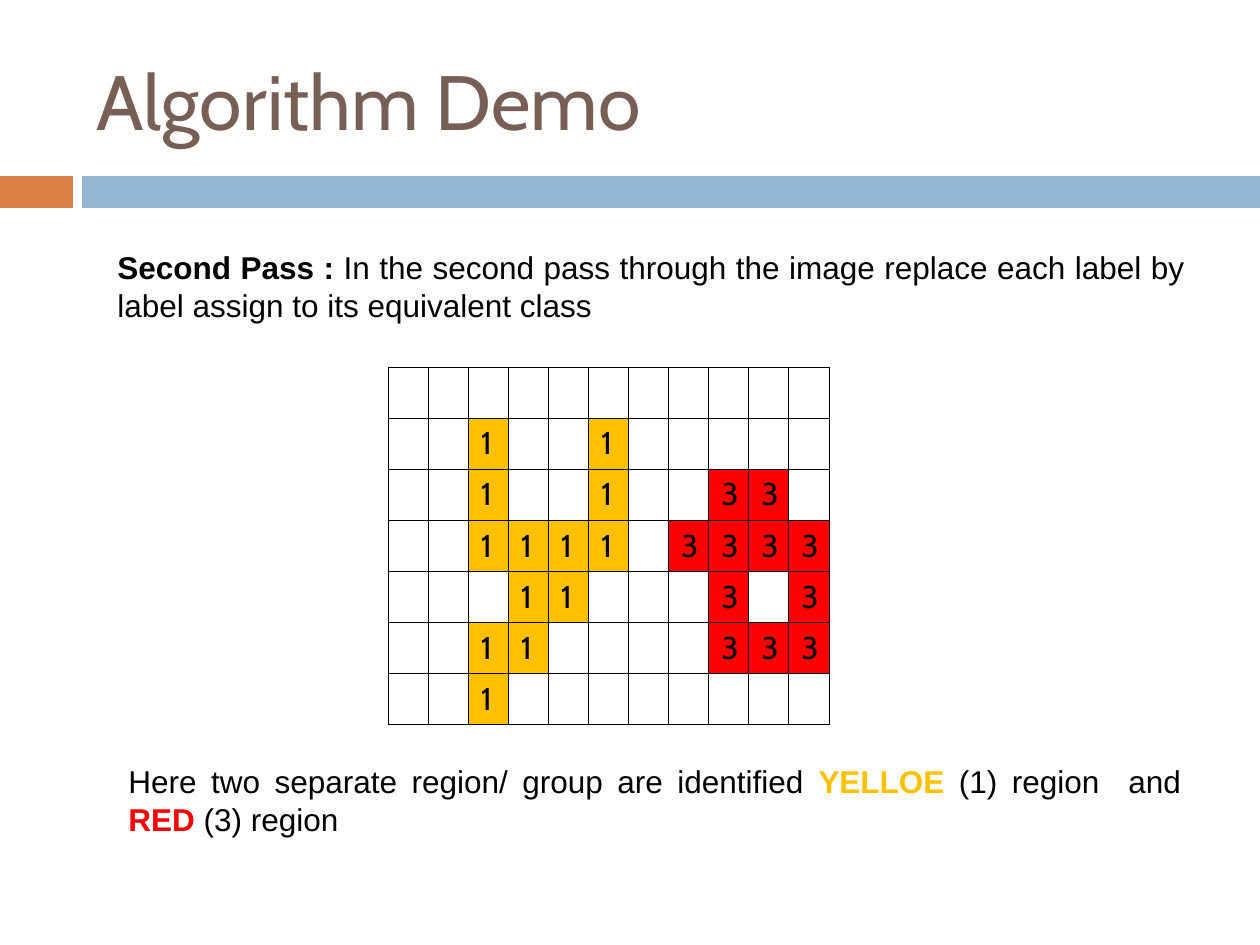
import pptx
import pptx.dml.color
import pptx.enum.text
import pptx.oxml
import pptx.oxml.ns
import pptx.util

PX = 914400 / 126
BLACK, AMBER, RED = "000000", "FFC000", "FF0000"
REGION_COLORS = {"1": AMBER, "3": RED}
LABELS = [
    "...........",
    "..1..1.....",
    "..1..1..33.",
    "..1111.3333",
    "...11...3.3",
    "..11....333",
    "..1........",
]


def px(length):
    return pptx.util.Emu(round(length * PX))


def color(hex_string):
    return pptx.dml.color.RGBColor.from_string(hex_string)


def style(font, face, size, hex_string):
    font.name = face
    font.size = pptx.util.Pt(size)
    font.color.rgb = color(hex_string)


def add_heading(slide, box, text):
    heading = slide.shapes.title
    heading.left, heading.top, heading.width, heading.height = map(px, box)
    frame = heading.text_frame
    frame.text = text
    frame.vertical_anchor = pptx.enum.text.MSO_ANCHOR.MIDDLE
    paragraph = frame.paragraphs[0]
    paragraph.alignment = pptx.enum.text.PP_ALIGN.LEFT
    style(paragraph.font, "Cabin", 44, "775F55")


def add_divider(slide, box):
    left, top, width, height = box
    accent, gap = 73, 9
    band = accent + gap
    for start, length, fill in ((0, accent, "DD8047"), (band, width - band, "94B6D2")):
        bar = slide.shapes.add_shape(
            pptx.enum.shapes.MSO_SHAPE.RECTANGLE,
            px(left + start), px(top), px(length), px(height))
        bar.shadow.inherit = False
        bar.fill.solid()
        bar.fill.fore_color.rgb = color(fill)
        bar.line.fill.background()


def add_statement(slide, box, pieces):
    statement = slide.shapes.add_textbox(*map(px, box))
    frame = statement.text_frame
    frame.word_wrap = True
    paragraph = frame.paragraphs[0]
    paragraph.alignment = pptx.enum.text.PP_ALIGN.JUSTIFY
    for text, hex_string, bold in pieces:
        run = paragraph.add_run()
        run.text = text
        run.font.bold = bold
        style(run.font, "Arial", 18, hex_string)


def outline_cell(cell):
    properties = cell._tc.get_or_add_tcPr()
    for position, side in enumerate(("lnL", "lnR", "lnT", "lnB")):
        properties.insert(position, pptx.oxml.parse_xml(
            f'<a:{side} {pptx.oxml.ns.nsdecls("a")} w="5715"><a:solidFill>'
            f'<a:srgbClr val="{BLACK}"/></a:solidFill></a:{side}>'))


def add_label_grid(slide, box, labels):
    left, top, width, height = box
    row_count, column_count = len(labels), len(labels[0])
    grid = slide.shapes.add_table(row_count, column_count, *map(px, box)).table
    grid.first_row = grid.horz_banding = False
    for column in grid.columns:
        column.width = px(width / column_count)
    for row, row_labels in zip(grid.rows, labels):
        row.height = px(height / row_count)
        for cell, label in zip(row.cells, row_labels):
            if label in REGION_COLORS:
                cell.text = label
                cell.fill.solid()
                cell.fill.fore_color.rgb = color(REGION_COLORS[label])
            else:
                cell.fill.background()
            style(cell.text_frame.paragraphs[0].font, "Cabin", 18, BLACK)
            outline_cell(cell)


def main():
    presentation = pptx.Presentation()
    presentation.slide_width, presentation.slide_height = px(1260), px(945)
    slide = presentation.slides.add_slide(presentation.slide_layouts[5])
    add_divider(slide, (0, 176, 1260, 32))
    add_heading(slide, (84, 32, 1124, 136), "Algorithm Demo")
    add_label_grid(slide, (388, 367, 441, 357), LABELS)
    add_statement(slide, (105, 242, 1092, 126), [
        ("Second Pass : ", BLACK, True),
        ("In the second pass through the image replace each label by "
         "label assign to its equivalent class", BLACK, False),
    ])
    add_statement(slide, (116, 756, 1092, 88), [
        ("Here two separate region/ group are identified ", BLACK, False),
        ("YELLOE", AMBER, True),
        (" (1) region  and  ", BLACK, False),
        ("RED", RED, True),
        (" (3) region", BLACK, False),
    ])
    presentation.save("out.pptx")


if __name__ == "__main__":
    main()
